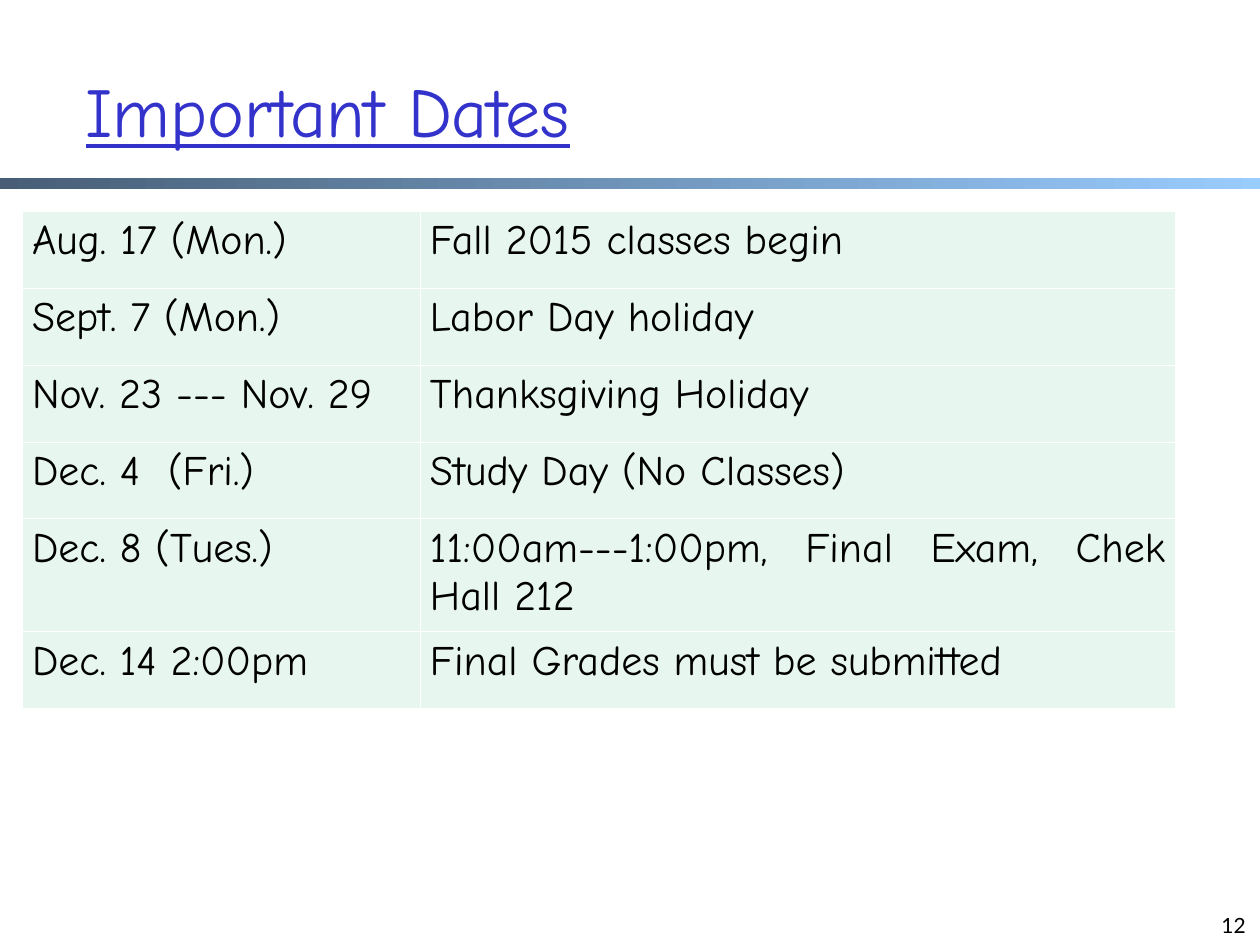
import pptx
import pptx.dml.color
import pptx.enum.shapes
import pptx.enum.text
import pptx.oxml.ns
import pptx.util
from lxml import etree

RGBColor = pptx.dml.color.RGBColor
PP_ALIGN = pptx.enum.text.PP_ALIGN
MSO_ANCHOR = pptx.enum.text.MSO_ANCHOR

EMU_PER_PX = 914400 / 125.7

BLACK = RGBColor(0x00, 0x00, 0x00)
WHITE = RGBColor(0xFF, 0xFF, 0xFF)
TITLE_BLUE = RGBColor(0x33, 0x33, 0xCC)
BAR_DARK = RGBColor(0x47, 0x5E, 0x76)
BAR_LIGHT = RGBColor(0x99, 0xCC, 0xFF)
CELL_GREEN = RGBColor(0xE7, 0xF6, 0xEF)

HAND_FONT = "Comic Neue"
NUMBER_FONT = "Lato"

COLUMN_WIDTHS = [398, 755]
ROW_HEIGHTS = [77, 77, 77, 77, 101, 77]
DATES = [
    ("Aug. 17 (Mon.)", "Fall 2015 classes begin"),
    ("Sept. 7 (Mon.)", "Labor Day holiday"),
    ("Nov. 23 --- Nov. 29", "Thanksgiving Holiday"),
    ("Dec. 4  (Fri.)", "Study Day (No Classes)"),
    ("Dec. 8 (Tues.)", "11:00am---1:00pm, Final Exam, Chek Hall 212"),
    ("Dec. 14 2:00pm", "Final Grades must be submitted"),
]


def px(n):
    return pptx.util.Emu(round(n * EMU_PER_PX))


def write(tf, text, size, font, color, align, underline=None):
    """Fill a text frame with one formatted paragraph."""
    tf.text = text
    tf.word_wrap = True
    p = tf.paragraphs[0]
    p.alignment = align
    r = p.runs[0]
    r.font.size = pptx.util.Pt(size)
    r.font.name = font
    r.font.color.rgb = color
    r.font.underline = underline


def add_title(slide, text):
    sp = slide.shapes.title
    sp.left, sp.top, sp.width, sp.height = px(73), px(31), px(1070), px(157)
    write(sp.text_frame, text, 40, HAND_FONT, TITLE_BLUE, PP_ALIGN.LEFT, underline=True)
    sp.text_frame.vertical_anchor = MSO_ANCHOR.MIDDLE


def add_gradient_bar(slide):
    sp = slide.shapes.add_shape(
        pptx.enum.shapes.MSO_SHAPE.RECTANGLE, 0, px(178), px(1260), px(11))
    sp.shadow.inherit = False
    sp.line.fill.background()
    sp.fill.gradient()
    sp.fill.gradient_angle = 0
    for stop, color in zip(sp.fill.gradient_stops, (BAR_DARK, BAR_LIGHT)):
        stop.color.rgb = color


def set_borders(cell, color, width):
    tcPr = cell._tc.get_or_add_tcPr()
    qn = pptx.oxml.ns.qn
    for side in ("a:lnL", "a:lnR", "a:lnT", "a:lnB"):
        ln = etree.SubElement(tcPr, qn(side), w=str(pptx.util.Pt(width)))
        fill = etree.SubElement(ln, qn("a:solidFill"))
        etree.SubElement(fill, qn("a:srgbClr"), val=str(color))


def add_dates_table(slide):
    frame = slide.shapes.add_table(
        len(DATES), len(COLUMN_WIDTHS), px(22), px(211),
        px(sum(COLUMN_WIDTHS)), px(sum(ROW_HEIGHTS)))
    table = frame.table
    table.first_row = False
    table.horz_banding = False
    for column, width in zip(table.columns, COLUMN_WIDTHS):
        column.width = px(width)
    for row, height, texts in zip(table.rows, ROW_HEIGHTS, DATES):
        row.height = px(height)
        for cell, text in zip(row.cells, texts):
            write(cell.text_frame, text, 24, HAND_FONT, BLACK, PP_ALIGN.JUSTIFY)
            cell.margin_left = cell.margin_right = px(10)
            cell.margin_top = cell.margin_bottom = px(6)
            set_borders(cell, WHITE, 0.45)
            cell.fill.solid()
            cell.fill.fore_color.rgb = CELL_GREEN


def add_slide_number(slide, number):
    sp = slide.shapes.add_textbox(px(965), px(881), px(293), px(63))
    write(sp.text_frame, number, 12, NUMBER_FONT, BLACK, PP_ALIGN.RIGHT)
    sp.text_frame.vertical_anchor = MSO_ANCHOR.BOTTOM


def main():
    prs = pptx.Presentation()
    prs.slide_width, prs.slide_height = px(1260), px(945)
    slide = prs.slides.add_slide(prs.slide_layouts.get_by_name("Title Only"))
    add_gradient_bar(slide)
    add_title(slide, "Important Dates")
    add_slide_number(slide, "12")
    add_dates_table(slide)
    prs.save("out.pptx")


if __name__ == "__main__":
    main()
